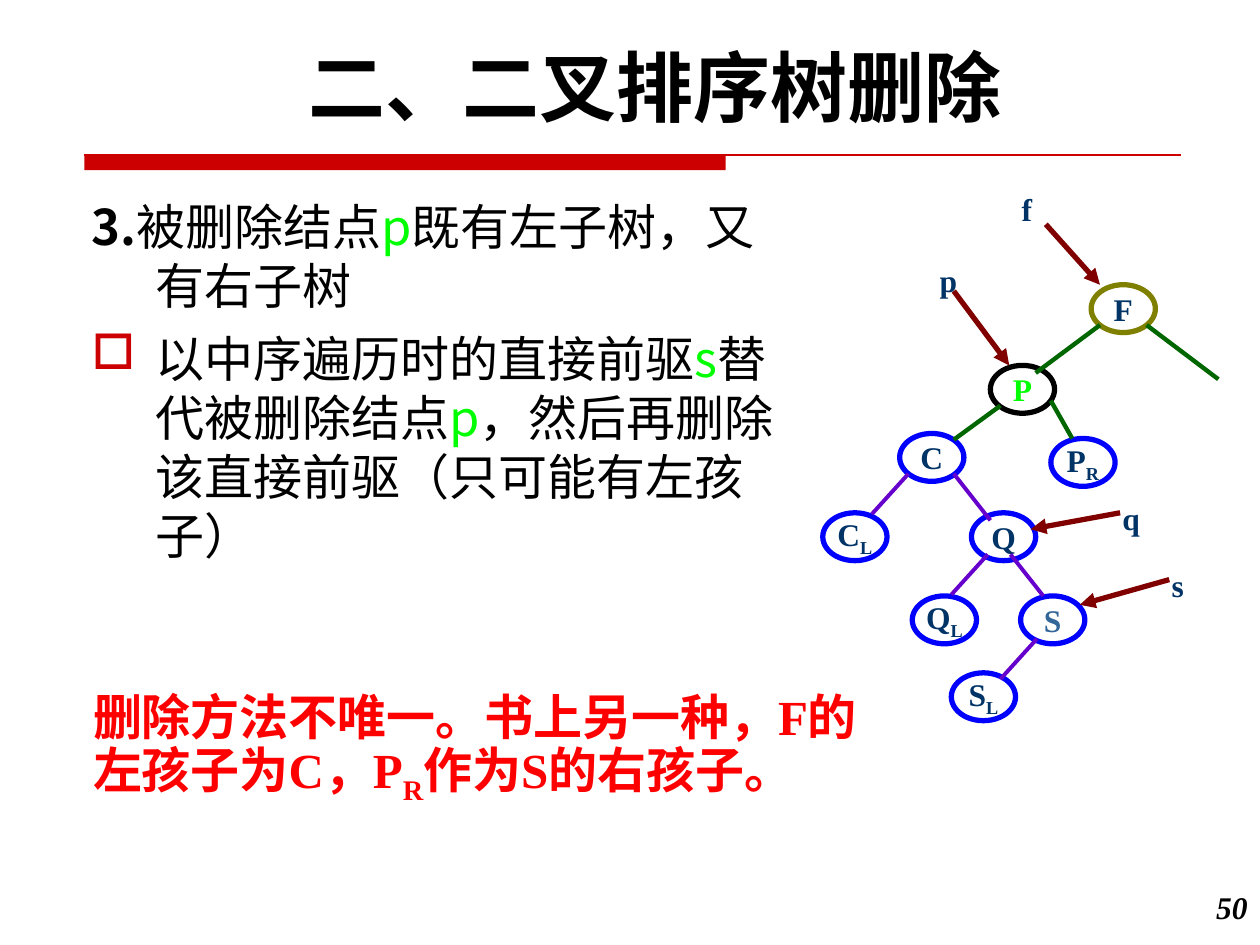
from lxml import etree
from pptx import Presentation
from pptx.dml.color import RGBColor
from pptx.enum import shapes, text
from pptx.oxml.ns import qn
from pptx.util import Inches, Pt

BLACK = RGBColor(0x00, 0x00, 0x00)
RED = RGBColor(0xFF, 0x00, 0x00)
RULE_RED = RGBColor(0xCC, 0x00, 0x00)
GREEN = RGBColor(0x00, 0xFF, 0x00)
NAVY = RGBColor(0x00, 0x33, 0x66)
STEEL = RGBColor(0x33, 0x66, 0x99)
BLUE = RGBColor(0x00, 0x00, 0xFF)
OLIVE = RGBColor(0x80, 0x80, 0x00)
PURPLE = RGBColor(0x66, 0x00, 0xCC)
DARK_GREEN = RGBColor(0x00, 0x66, 0x00)
MAROON = RGBColor(0x80, 0x00, 0x00)

SERIF = "Times New Roman"
CJK = "Noto Sans CJK SC"
NODE_W, NODE_H = 0.51, 0.38

# Tree nodes: left, top, label, subscript, outline, label colour
NODES = [
    (8.66, 2.26, "F", "", OLIVE, NAVY),
    (7.86, 2.90, "P", "", BLACK, GREEN),
    (7.14, 3.44, "C", "", BLUE, NAVY),
    (8.34, 3.48, "P", "R", BLUE, NAVY),
    (6.53, 4.07, "C", "L", BLUE, NAVY),
    (7.71, 4.07, "Q", "", BLUE, NAVY),
    (7.24, 4.73, "Q", "L", BLUE, NAVY),
    (8.10, 4.73, "S", "", BLUE, STEEL),
    (7.55, 5.34, "S", "L", BLUE, NAVY),
]
UPPER_EDGES = [
    (8.73, 2.58, 8.22, 2.96), (9.10, 2.58, 9.67, 3.01),
    (7.94, 3.22, 7.57, 3.49), (8.34, 3.18, 8.51, 3.48),
]
LOWER_EDGES = [
    (7.21, 3.76, 6.92, 4.08), (7.57, 3.76, 7.86, 4.13),
    (7.84, 4.40, 7.55, 4.72), (8.02, 4.40, 8.28, 4.73),
    (8.23, 5.07, 7.94, 5.39),
]
# Pointers: name, label box, arrow ends
POINTERS = [
    ("f", (8.01, 1.46, 0.32, 0.4), (8.30, 1.78, 8.73, 2.26)),
    ("p", (7.36, 2.02, 0.34, 0.4), (7.57, 2.31, 8.01, 2.90)),
    ("q", (8.81, 3.91, 0.34, 0.4), (8.89, 4.07, 8.18, 4.20)),
    ("s", (9.20, 4.44, 0.30, 0.4), (9.28, 4.60, 8.57, 4.80)),
]


def add_run(p, words, size, color, font=SERIF, bold=True, italic=False, sub=False):
    r = p.add_run()
    r.text = words
    f = r.font
    f.size, f.name, f.bold, f.italic = Pt(size), font, bold, italic
    f.color.rgb = color
    rpr = r._r.get_or_add_rPr()
    if sub:
        rpr.set("baseline", "-25000")
    ea = etree.Element(qn("a:ea"), typeface=CJK)
    rpr.find(qn("a:latin")).addnext(ea)
    return r


def add_text_box(slide, box, wrap=True, top_inset=0.05):
    tf = slide.shapes.add_textbox(*map(Inches, box)).text_frame
    tf.word_wrap = wrap
    tf.margin_top = Inches(top_inset)
    return tf


def add_line(slide, ends, color, width, arrow=False):
    ln = slide.shapes.add_connector(shapes.MSO_CONNECTOR.STRAIGHT, *map(Inches, ends))
    ln.line.color.rgb = color
    ln.line.width = Pt(width)
    if arrow:
        etree.SubElement(ln.line._get_or_add_ln(), qn("a:tailEnd"), type="triangle")
    etree.SubElement(ln._element.spPr, qn("a:effectLst"))


def add_node(slide, left, top, label, subscript, outline, color):
    sp = slide.shapes.add_shape(
        shapes.MSO_SHAPE.OVAL, *map(Inches, (left, top, NODE_W, NODE_H)))
    sp.shadow.inherit = False
    sp.fill.background()
    sp.line.color.rgb = outline
    sp.line.width = Pt(3)
    tf = sp.text_frame
    tf.word_wrap = False
    tf.vertical_anchor = text.MSO_ANCHOR.MIDDLE
    p = tf.paragraphs[0]
    p.alignment = text.PP_ALIGN.CENTER
    add_run(p, label, 18, color)
    if subscript:
        add_run(p, subscript, 18, color, sub=True)


def add_title(slide):
    p = add_text_box(slide, (0.58, 0.21, 9.25, 0.84), top_inset=0.1).paragraphs[0]
    p.alignment = text.PP_ALIGN.CENTER
    p.line_spacing = Pt(53)
    add_run(p, "二、二叉排序树删除", 44, BLACK, font="Roboto")


def add_rule(slide):
    bar = slide.shapes.add_shape(
        shapes.MSO_SHAPE.RECTANGLE, *map(Inches, (0.67, 1.23, 5.09, 0.12)))
    bar.shadow.inherit = False
    bar.fill.solid()
    bar.fill.fore_color.rgb = RULE_RED
    bar.line.fill.background()
    add_line(slide, (0.67, 1.23, 9.37, 1.23), RULE_RED, 0.75)


def set_hanging(p, bullet=None):
    ppr = p._p.get_or_add_pPr()
    ppr.set("marL", str(Inches(0.51)))
    ppr.set("indent", str(Inches(-0.51)))
    if bullet:
        clr = etree.SubElement(ppr, qn("a:buClr"))
        etree.SubElement(clr, qn("a:srgbClr"), val=str(RULE_RED))
        etree.SubElement(ppr, qn("a:buChar"), char=bullet)
    else:
        etree.SubElement(ppr, qn("a:buNone"))
    p.line_spacing = Pt(33.7)


def add_body(slide):
    tf = add_text_box(slide, (0.63, 1.46, 5.67, 4.42), top_inset=0.1)
    case = tf.paragraphs[0]
    set_hanging(case)
    add_run(case, "3.", 28, BLACK, font=CJK)
    method = tf.add_paragraph()
    set_hanging(method, "□")
    method.space_before = Pt(8)
    pieces = [
        (case, "被删除结点", BLACK), (case, "p", GREEN),
        (case, "既有左子树，又有右子树", BLACK),
        (method, "以中序遍历时的直接前驱", BLACK), (method, "s", GREEN),
        (method, "替代被删除结点", BLACK), (method, "p", GREEN),
        (method, "，然后再删除该直接前驱（只可能有左孩子）", BLACK),
    ]
    for p, words, color in pieces:
        add_run(p, words, 28, color, font=CJK, bold=False)


def add_remark(slide):
    p = add_text_box(slide, (0.64, 5.33, 6.37, 1.04), top_inset=0.1).paragraphs[0]
    p.line_spacing = Pt(35)
    add_run(p, "删除方法不唯一。书上另一种，F的左孩子为C，P", 28, RED)
    add_run(p, "R", 28, RED, sub=True)
    add_run(p, "作为S的右孩子。", 28, RED)


def add_tree(slide):
    for node in NODES:
        add_node(slide, *node)
    for ends in UPPER_EDGES:
        add_line(slide, ends, DARK_GREEN, 2.5)
    for ends in LOWER_EDGES:
        add_line(slide, ends, PURPLE, 2.25)
    for name, box, ends in POINTERS:
        add_run(add_text_box(slide, box, wrap=False).paragraphs[0], name, 18, NAVY)
        add_line(slide, ends, MAROON, 3, arrow=True)


def add_page_number(slide):
    p = add_text_box(slide, (9.33, 7, 0.67, 0.5)).paragraphs[0]
    p.alignment = text.PP_ALIGN.RIGHT
    add_run(p, "50", 18, BLACK, italic=True)


def main():
    prs = Presentation()
    prs.slide_width, prs.slide_height = Inches(10), Inches(7.5)
    slide = prs.slides.add_slide(prs.slide_layouts[6])
    add_rule(slide)
    add_page_number(slide)
    add_body(slide)
    add_tree(slide)
    add_title(slide)
    add_remark(slide)
    prs.save("out.pptx")


if __name__ == "__main__":
    main()
